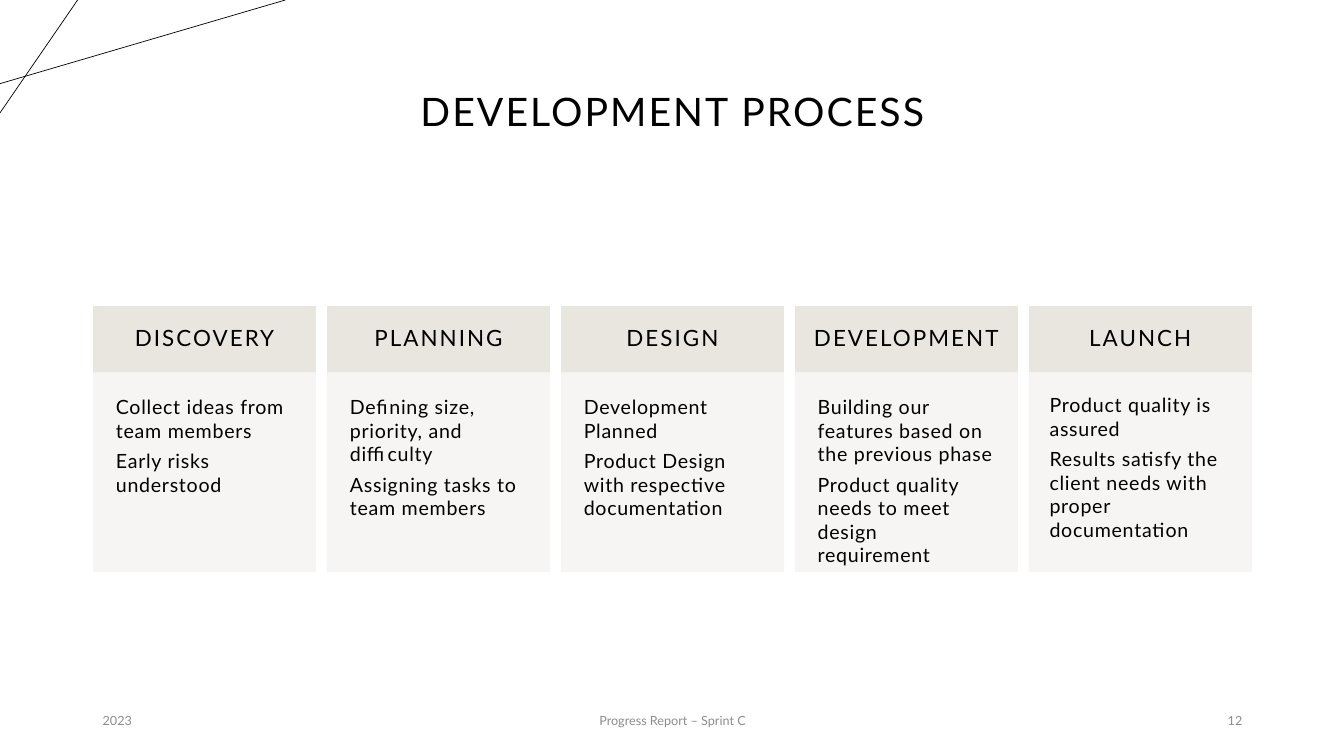
from dataclasses import dataclass

from lxml import etree
from pptx import Presentation
from pptx import util as u
from pptx.dml.color import RGBColor
from pptx.enum import shapes, text
from pptx.oxml.ns import qn

BLACK = RGBColor(0x00, 0x00, 0x00)
GREY = RGBColor(0x8C, 0x8C, 0x8C)
SAND = RGBColor(0xE9, 0xE6, 0xDF)
IVORY = RGBColor(0xF7, 0xF5, 0xF3)
WHITE = RGBColor(0xFF, 0xFF, 0xFF)
FONT = "Lato"

LEFT, PITCH, WIDTH = 0.93, 2.32, 2.2
HEADING_TOP, HEADING_HEIGHT = 3.04, 0.66
DETAIL_TOP, DETAIL_HEIGHT = 3.7, 1.97


@dataclass(frozen=True)
class Phase:
    name: str
    details: tuple[str, ...]
    inset: float = 0.22


@dataclass(frozen=True)
class FooterItem:
    wording: str
    left: float
    width: float
    align: text.PP_ALIGN


PHASES = (
    Phase("DISCOVERY", ("Collect ideas from team members", "Early risks understood")),
    Phase("PLANNING", ("Defining size, priority, and difficulty",
                       "Assigning tasks to team members")),
    Phase("DESIGN", ("Development Planned",
                     "Product Design with respective documentation")),
    Phase("DEVELOPMENT", ("Building our features based on the previous phase",
                          "Product quality needs to meet design requirement")),
    Phase("LAUNCH", ("Product quality is assured",
                     "Results satisfy the client needs with proper documentation"),
          inset=0.2),
)

FOOTER = (
    FooterItem("2023", 0.92, 3, text.PP_ALIGN.LEFT),
    FooterItem("Progress Report – Sprint C", 4.42, 4.5, text.PP_ALIGN.CENTER),
    FooterItem("12", 9.42, 3, text.PP_ALIGN.RIGHT),
)

CORNER_LINES = (((0, 0.83), (2.83, 0)), ((0.77, 0), (0, 1.12)))


def write(frame, *paragraphs: str, size: float, color: RGBColor = BLACK,
          align=text.PP_ALIGN.LEFT, anchor=text.MSO_ANCHOR.MIDDLE,
          tracking: float = 0, line_spacing: float = 1.0,
          space_after: float = 0, inset: float | None = None) -> None:
    """Fill a text frame with evenly formatted paragraphs."""
    frame.word_wrap = True
    frame.auto_size = text.MSO_AUTO_SIZE.NONE
    frame.vertical_anchor = anchor
    if inset is not None:
        frame.margin_left = frame.margin_right = u.Inches(inset)
        frame.margin_top = frame.margin_bottom = u.Inches(inset)
    for index, wording in enumerate(paragraphs):
        paragraph = frame.add_paragraph() if index else frame.paragraphs[0]
        paragraph.alignment = align
        paragraph.line_spacing = line_spacing
        paragraph.space_after = u.Pt(space_after)
        run = paragraph.add_run()
        run.text = wording
        run.font.name = FONT
        run.font.size = u.Pt(size)
        run.font.color.rgb = color
        if tracking:
            run.font._element.set("spc", str(round(tracking * 100)))


def add_panel(slide, left: float, top: float, height: float,
              color: RGBColor, opacity: int = 100):
    """Draw a plain rectangle one column wide."""
    panel = slide.shapes.add_shape(
        shapes.MSO_SHAPE.RECTANGLE,
        u.Inches(left), u.Inches(top), u.Inches(WIDTH), u.Inches(height))
    panel.shadow.inherit = False
    panel.fill.solid()
    panel.fill.fore_color.rgb = color
    panel.line.color.rgb = color
    panel.line.width = u.Pt(1)
    if opacity < 100:
        for shade in panel._element.spPr.iter(qn("a:srgbClr")):
            etree.SubElement(shade, qn("a:alpha"), val=str(opacity * 1000))
    return panel


def add_phase(slide, phase: Phase, left: float) -> None:
    heading = add_panel(slide, left, HEADING_TOP, HEADING_HEIGHT, SAND)
    write(heading.text_frame, phase.name, size=16, align=text.PP_ALIGN.CENTER,
          tracking=1.5, line_spacing=0.9, inset=0.17)
    detail = add_panel(slide, left, DETAIL_TOP, DETAIL_HEIGHT, IVORY, opacity=90)
    write(detail.text_frame, *phase.details, size=14, tracking=0.5,
          anchor=text.MSO_ANCHOR.TOP, space_after=5, inset=phase.inset)


def add_corner_line(slide, start: tuple[float, float], end: tuple[float, float]) -> None:
    line = slide.shapes.add_connector(
        shapes.MSO_CONNECTOR.STRAIGHT, *(u.Inches(value) for value in start + end))
    line.line.color.rgb = BLACK
    line.line.width = u.Pt(0.5)
    etree.SubElement(line._element.spPr, qn("a:effectLst"))


def add_footer_item(slide, item: FooterItem) -> None:
    box = slide.shapes.add_textbox(u.Inches(item.left), u.Inches(6.95),
                                   u.Inches(item.width), u.Inches(0.4))
    write(box.text_frame, item.wording, size=9, color=GREY, align=item.align)


def main() -> None:
    deck = Presentation()
    deck.slide_width, deck.slide_height = u.Inches(13.33), u.Inches(7.5)
    slide = deck.slides.add_slide(deck.slide_layouts.get_by_name("Title Only"))
    slide.background.fill.solid()
    slide.background.fill.fore_color.rgb = WHITE

    # Corner decoration
    for start, end in CORNER_LINES:
        add_corner_line(slide, start, end)

    # Title
    title = slide.shapes.title
    title.left, title.top = u.Inches(0.92), u.Inches(0.4)
    title.width, title.height = u.Inches(11.5), u.Inches(1.45)
    write(title.text_frame, "DEVELOPMENT PROCESS", size=28,
          align=text.PP_ALIGN.CENTER, tracking=1.5, line_spacing=0.9)

    # Process phases
    for column, phase in enumerate(PHASES):
        add_phase(slide, phase, LEFT + column * PITCH)

    # Footer
    for item in FOOTER:
        add_footer_item(slide, item)

    deck.save("out.pptx")


if __name__ == "__main__":
    main()
